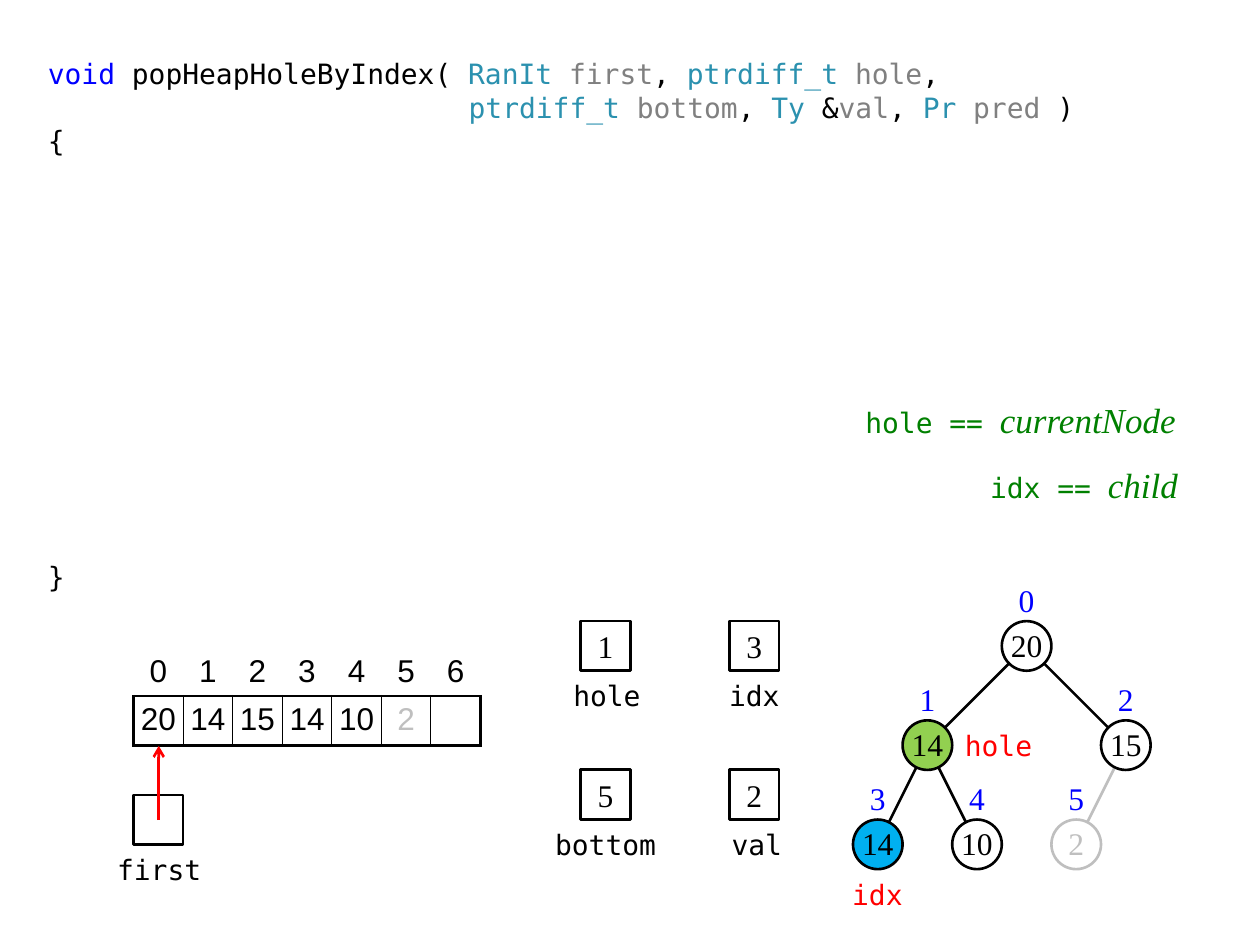
"""Build a slide that shows a heap as code, as an array and as a tree."""
from lxml import etree
from pptx import Presentation
from pptx.dml.color import RGBColor
from pptx.enum.shapes import MSO_CONNECTOR, MSO_SHAPE
from pptx.enum.text import MSO_ANCHOR, MSO_AUTO_SIZE, PP_ALIGN
from pptx.oxml.ns import qn
from pptx.util import Inches, Pt

STRAIGHT = MSO_CONNECTOR.STRAIGHT
RECTANGLE, OVAL = MSO_SHAPE.RECTANGLE, MSO_SHAPE.OVAL
MIDDLE, BOTTOM = MSO_ANCHOR.MIDDLE, MSO_ANCHOR.BOTTOM
LEFT, CENTER = PP_ALIGN.LEFT, PP_ALIGN.CENTER

BLACK = RGBColor(0x00, 0x00, 0x00)
WHITE = RGBColor(0xFF, 0xFF, 0xFF)
BLUE = RGBColor(0x00, 0x00, 0xFF)
TEAL = RGBColor(0x2B, 0x91, 0xAF)
GRAY = RGBColor(0x80, 0x80, 0x80)
PALE = RGBColor(0xBF, 0xBF, 0xBF)
RED = RGBColor(0xFF, 0x00, 0x00)
GREEN = RGBColor(0x00, 0x80, 0x00)
LIME = RGBColor(0x92, 0xD0, 0x50)
SKY = RGBColor(0x00, 0xB0, 0xF0)

CELL = 1 / 2.54
CODE = {"name": "DejaVu Sans Mono", "size": Pt(16)}
SERIF = {"name": "Times New Roman", "size": Pt(18)}
SANS = {"name": "Arial", "size": Pt(18)}
TERM = {"name": "Times New Roman", "size": Pt(20), "italic": True}

CODE_LINES = [
    (0, 0, [("void ", BLUE), ("popHeapHoleByIndex( ", BLACK), ("RanIt ", TEAL), ("first", GRAY),
            (", ", BLACK), ("ptrdiff_t ", TEAL), ("hole", GRAY), (",", BLACK)]),
    (3.34, 0, [("ptrdiff_t ", TEAL), ("bottom", GRAY), (", ", BLACK), ("Ty", TEAL), (" &", BLACK),
               ("val", GRAY), (", ", BLACK), ("Pr ", TEAL), ("pred", GRAY), (" )", BLACK)]),
    (0, 0, [("{", BLACK)]),
    (0, 12, [("}", BLACK)]),
]
LINE_PITCH = 19.15

HEAP = ["20", "14", "15", "14", "10", "2"]
TREE_LEFT, TREE_TOP = 6.77, 4.93
NODE_COLUMNS = [3, 1, 5, 0, 2, 4]
NODE_FILLS = {1: LIME, 3: SKY}
REMOVED = 5

VARIABLES = [  # name, value, left, top, label width, label left inset
    ("hole", "1", 4.61, 4.93, 2 * CELL, 0.02),
    ("idx", "3", 5.79, 4.93, CELL, 0),
    ("bottom", "5", 4.61, 6.11, 3 * CELL, 0),
    ("val", "2", 5.79, 6.11, CELL, 0.04),
]


def apply_format(target, values):
    """Set attributes from a dict of format values."""
    for name, value in values.items():
        setattr(target, name, value)


def add_span(para, text, font, color):
    """Append one formatted run."""
    span = para.add_run()
    span.text = text
    apply_format(span.font, font)
    span.font.color.rgb = color


def set_frame(frame, anchor, insets):
    """Set the anchor and the left, top, right and bottom insets."""
    left, top, right, bottom = map(Inches, insets)
    apply_format(frame, {
        "margin_left": left, "margin_top": top, "margin_right": right, "margin_bottom": bottom,
        "vertical_anchor": anchor, "word_wrap": False, "auto_size": MSO_AUTO_SIZE.NONE,
    })


def add_label(page, spans, left, top, width, height=CELL, anchor=MIDDLE,
              insets=(0, 0, 0, 0), align=CENTER):
    """Add a one-line text box made of (text, font, colour) spans."""
    box = page.shapes.add_textbox(*map(Inches, (left, top, width, height)))
    set_frame(box.text_frame, anchor, insets)
    para = box.text_frame.paragraphs[0]
    para.alignment = align
    for span in spans:
        add_span(para, *span)


def add_box(page, kind, left, top, text="", fill=WHITE, color=BLACK, line=BLACK,
            anchor=MIDDLE, insets=(0, 0.05, 0, 0.05)):
    """Add a one-cell outlined shape with a centred value."""
    box = page.shapes.add_shape(kind, *map(Inches, (left, top, CELL, CELL)))
    box.shadow.inherit = False
    box.fill.solid()
    box.fill.fore_color.rgb = fill
    box.line.color.rgb = line
    box.line.width = Pt(1.5)
    set_frame(box.text_frame, anchor, insets)
    para = box.text_frame.paragraphs[0]
    para.alignment = CENTER
    if text:
        add_span(para, text, SERIF, color)


def add_line(page, start, end, color, arrow=False):
    """Add a straight connector between two points."""
    line = page.shapes.add_connector(STRAIGHT, *map(Inches, (*start, *end)))
    line.line.color.rgb = color
    line.line.width = Pt(1.5)
    if arrow:
        etree.SubElement(line.line._get_or_add_ln(), qn("a:tailEnd"), type="arrow")
    etree.SubElement(line._element.spPr, qn("a:effectLst"))


def add_code(page):
    """Fill the body placeholder with the function outline."""
    page.shapes.title._element.getparent().remove(page.shapes.title._element)
    body = page.placeholders[1]
    apply_format(body, {"left": Inches(0.28), "top": Inches(0.4),
                        "width": Inches(9.45), "height": Inches(4.33)})
    frame = body.text_frame
    frame.auto_size = MSO_AUTO_SIZE.NONE
    for index, (indent, skipped, spans) in enumerate(CODE_LINES):
        para = frame.add_paragraph() if index else frame.paragraphs[0]
        apply_format(para, {"line_spacing": Pt(LINE_PITCH), "space_after": Pt(0),
                            "space_before": Pt(skipped * LINE_PITCH), "alignment": LEFT})
        properties = para._p.get_or_add_pPr()
        properties.set("marL", str(Inches(indent)))
        properties.set("indent", "0")
        etree.SubElement(properties, qn("a:buNone"))
        for text, color in spans:
            add_span(para, text, CODE, color)


def set_borders(cell, widths):
    """Set left, right, top and bottom borders; zero hides one."""
    properties = cell._tc.get_or_add_tcPr()
    for position, (side, width) in enumerate(zip(("lnL", "lnR", "lnT", "lnB"), widths)):
        line = etree.Element(qn(f"a:{side}"), w=str(Pt(width)))
        properties.insert(position, line)
        if width:
            fill = etree.SubElement(line, qn("a:solidFill"))
            etree.SubElement(fill, qn("a:srgbClr"), val=str(BLACK))
        else:
            etree.SubElement(line, qn("a:noFill"))


def add_array(page):
    """Add the array table with its index row."""
    rows = [[str(index) for index in range(7)], HEAP + [""]]
    last = len(rows[0]) - 1
    size = (1.06, 5.13, 7 * CELL, 2 * CELL)
    table = page.shapes.add_table(2, 7, *map(Inches, size)).table
    apply_format(table, {"first_row": False, "horz_banding": False})
    for row, texts in enumerate(rows):
        table.rows[row].height = Inches(CELL)
        for column, text in enumerate(texts):
            table.columns[column].width = Inches(CELL)
            cell = table.cell(row, column)
            apply_format(cell, {"margin_left": 0, "margin_top": 0, "margin_right": 0,
                                "margin_bottom": Inches(0.02 * row), "vertical_anchor": MIDDLE})
            cell.fill.background()
            sides = (1.5 if column == 0 else 0.75, 1.5 if column == last else 0.75, 1.5, 1.5)
            set_borders(cell, sides if row else (0, 0, 0, 1.5))
            para = cell.text_frame.paragraphs[0]
            para.alignment = CENTER
            if text:
                add_span(para, text, SANS, PALE if row and column == REMOVED else BLACK)


def add_tree(page):
    """Add the heap tree, edges first."""
    places = [(TREE_LEFT + column * CELL, TREE_TOP + 2 * CELL * ((index + 1).bit_length() - 1))
              for index, column in enumerate(NODE_COLUMNS)]
    centers = [(left + CELL / 2, top + CELL / 2) for left, top in places]
    colors = [PALE if index == REMOVED else BLACK for index in range(len(HEAP))]
    for index in range(len(HEAP) - 1, 0, -1):
        add_line(page, centers[(index - 1) // 2], centers[index], colors[index])
    for index, (left, top) in enumerate(places):
        add_box(page, OVAL, left, top, HEAP[index], NODE_FILLS.get(index, WHITE),
                colors[index], colors[index], BOTTOM, (0, 0, 0, 0))
        add_label(page, [(str(index), SERIF, BLUE)], left, top - CELL, CELL,
                  anchor=BOTTOM, insets=(0, 0, 0, 0.02))
    side = (0.1, 0, 0.1, 0)
    add_label(page, [("hole", CODE, RED)], 7.56, 5.72, 2 * CELL, insets=side, align=LEFT)
    add_label(page, [("idx", CODE, RED)], 6.57, 6.9, 2 * CELL, insets=side)


def main():
    """Build and save the deck."""
    deck = Presentation()
    deck.slide_width, deck.slide_height = Inches(10), Inches(7.5)
    page = deck.slides.add_slide(deck.slide_layouts[1])
    add_code(page)
    add_array(page)
    add_label(page, [("first", CODE, BLACK)], 0.87, 6.7, 2 * CELL)
    add_box(page, RECTANGLE, 1.06, 6.31)
    add_line(page, (1.26, 6.51), (1.26, 5.92), RED, arrow=True)
    for name, value, left, top, width, inset in VARIABLES:
        add_label(page, [(name, CODE, BLACK)], left + (CELL - width) / 2, top + CELL, width,
                  insets=(inset, 0, 0, 0))
        add_box(page, RECTANGLE, left, top, value)
    add_tree(page)
    add_label(page, [("hole == ", CODE, GREEN), ("currentNode", TERM, GREEN)],
              6.77, 3.16, 2.76, insets=(0.1, 0, 0.1, 0.05), align=LEFT)
    add_label(page, [("idx == ", CODE, GREEN), ("child", TERM, GREEN)],
              7.76, 3.55, 1.77, 0.59, insets=(0.1, 0.05, 0.1, 0.05), align=LEFT)
    deck.save("out.pptx")


if __name__ == "__main__":
    main()
